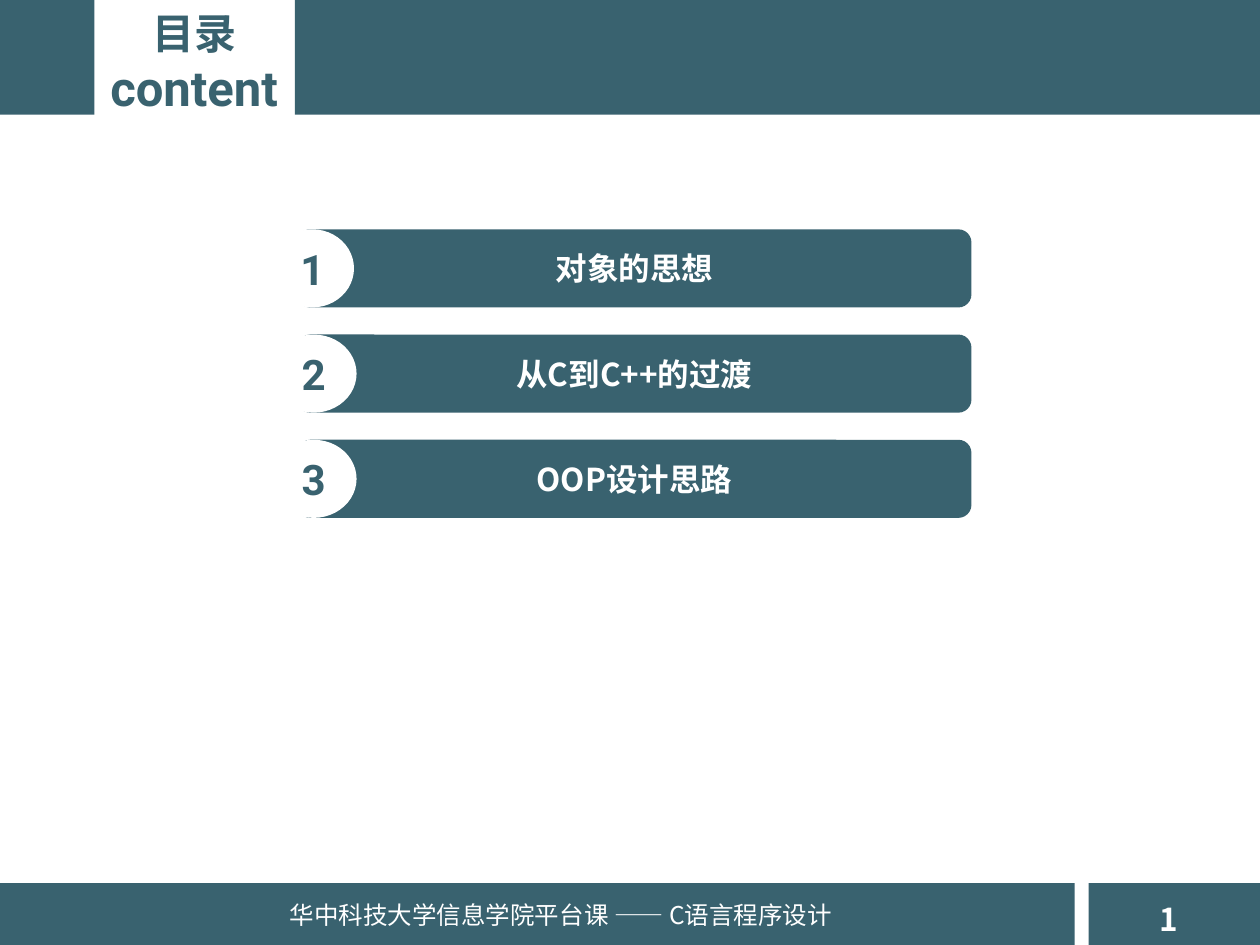
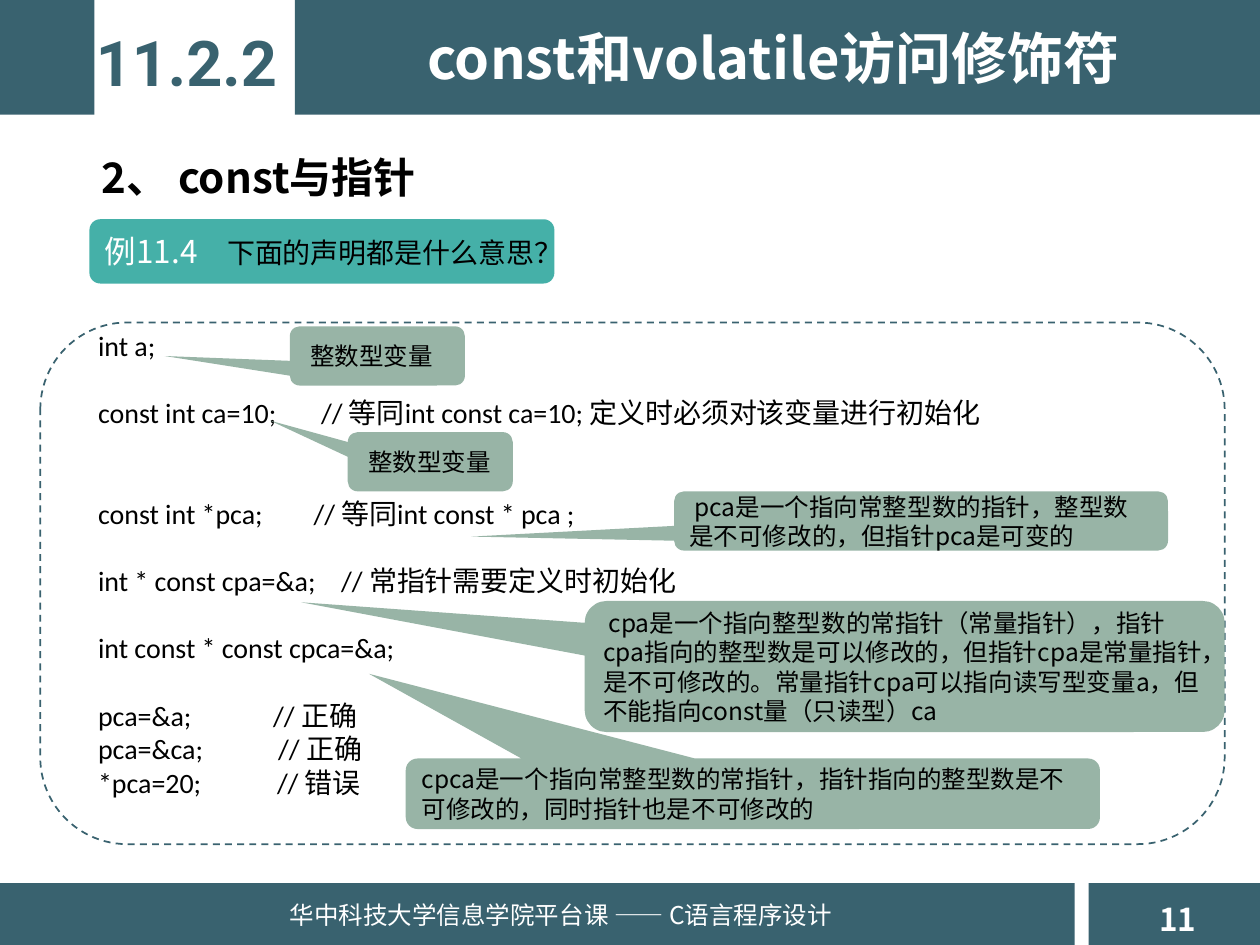
from lxml import etree
from pptx import Presentation
from pptx.dml.color import RGBColor
from pptx.enum.dml import MSO_LINE
from pptx.enum.shapes import MSO_SHAPE
from pptx.enum.text import MSO_ANCHOR, MSO_AUTO_SIZE, PP_ALIGN
from pptx.oxml.ns import qn
from pptx.util import Inches, Pt

RECT = MSO_SHAPE.RECTANGLE
ROUNDED = MSO_SHAPE.ROUNDED_RECTANGLE
OVAL = MSO_SHAPE.OVAL
CALLOUT = MSO_SHAPE.ROUNDED_RECTANGULAR_CALLOUT
DASH = MSO_LINE.DASH
MIDDLE = MSO_ANCHOR.MIDDLE
FIT_SHAPE = MSO_AUTO_SIZE.SHAPE_TO_FIT_TEXT
LEFT, CENTER, JUSTIFY = PP_ALIGN.LEFT, PP_ALIGN.CENTER, PP_ALIGN.JUSTIFY

COLORS = {
    "teal": "39626F",
    "mint": "45B0A8",
    "sage": "98B4A6",
    "white": "FFFFFF",
    "black": "000000",
}
CJK, LATIN, CODE = "Noto Sans CJK SC", "Roboto", "Calibri"
COURSE = "华中科技大学信息学院平台课 —— C语言程序设计"
BANDS = [(0, 0, 0.75, 0.91), (2.34, 0, 7.66, 0.91),
         (0, 7.01, 8.53, 0.49), (8.64, 7.01, 1.36, 0.49)]

TOPICS = [("对象的思想", 0.66), ("从C到C++的过渡", 0.68), ("OOP设计思路", 0.68)]
TOPIC_TOP, TOPIC_STEP, TOPIC_HEIGHT = 1.82, 0.835, 0.62

CODE_PITCH = 19.2
CODE_LINES = [
    (0, "int a;", None),
    (1, "const int ca=10;\t// 等同int const ca=10; 定义时必须对该变量进行初始化", 1.77),
    (2, "const int *pca;\t// 等同int const * pca ;", 1.71),
    (1, "int * const cpa=&a;\t// 常指针需要定义时初始化", 1.93),
    (1, "int const * const cpca=&a;", None),
    (1, "pca=&a;\t// 正确", 1.39),
    (0, "pca=&ca;\t// 正确", 1.43),
    (0, "*pca=20;\t// 错误", 1.42),
]

MEANINGS = [
    ((2.3, 2.59, 1.39, 0.47), (-1.214, 0.002), 0.04, "整数型变量"),
    ((2.76, 3.43, 1.31, 0.47), (-0.97, -0.694), 0.04, "整数型变量"),
    ((5.35, 3.9, 3.92, 0.47), (-0.911, 0.264), 0.04,
     "pca是一个指向常整型数的指针，整型数是不可修改的，但指针pca是可变的"),
    ((4.64, 4.77, 5.08, 1.04), (-0.943, -0.49), 0.04,
     "cpa是一个指向整型数的常指针（常量指针），指针cpa指向的整型数是可以修改的，"
     "但指针cpa是常量指针，是不可修改的。常量指针cpa可以指向读写型变量a，"
     "但不能指向const量（只读型）ca"),
    ((3.22, 6.02, 5.51, 0.56), (-0.553, -1.701), 0,
     "cpca是一个指向常整型数的常指针，指针指向的整型数是不可修改的，同时指针也是不可修改的"),
]


class Deck:
    def __init__(self):
        self.prs = Presentation()
        self.prs.slide_width, self.prs.slide_height = Inches(10), Inches(7.5)
        self.slide = None

    def new_slide(self, number):
        self.slide = self.prs.slides.add_slide(self.prs.slide_layouts[6])
        for band in BANDS:
            self.shape(RECT, band, "teal")
        page = self.text((9.1, 7.09, 0.55, 0.4), wrap=False)
        self.paragraph(page, [(str(number), 18, "white", CJK, True)])
        course = self.text((2.2, 7.09, 4.6, 0.81), wrap=False)
        self.paragraph(course, [(COURSE, 14, "white", CJK, False)])

    def shape(self, kind, box, fill=None):
        shape = self.slide.shapes.add_shape(kind, *map(Inches, box))
        shape.shadow.inherit = False
        shape.line.fill.background()
        if fill:
            shape.fill.solid()
            shape.fill.fore_color.rgb = RGBColor.from_string(COLORS[fill])
        else:
            shape.fill.background()
        shape.text_frame.vertical_anchor = MIDDLE
        return shape

    def text(self, box, wrap=True):
        frame = self.slide.shapes.add_textbox(*map(Inches, box)).text_frame
        frame.word_wrap = wrap
        frame.auto_size = FIT_SHAPE
        return frame

    def paragraph(self, frame, runs, tab=None, indent=0, **formats):
        first = frame.paragraphs[0]
        paragraph = frame.add_paragraph() if first.runs else first
        properties = paragraph._p.get_or_add_pPr()
        if indent:
            properties.set("marL", "0")
            properties.set("indent", str(Inches(indent)))
        if tab:
            stops = etree.SubElement(properties, qn("a:tabLst"))
            etree.SubElement(stops, qn("a:tab"), pos=str(Inches(tab)), algn="l")
        for name, value in {"alignment": LEFT, **formats}.items():
            setattr(paragraph, name, value)
        for text, size, color, font, bold in runs:
            run = paragraph.add_run()
            run.text = text
            for name, value in {"size": Pt(size), "name": font, "bold": bold}.items():
                setattr(run.font, name, value)
            run.font.color.rgb = RGBColor.from_string(COLORS[color])
            east_asian = etree.SubElement(run._r.get_or_add_rPr(), qn("a:ea"))
            east_asian.set("typeface", CJK)

    def callout(self, box, pointer, indent, meaning):
        callout = self.shape(CALLOUT, box, "sage")
        for index, value in enumerate((*pointer, 0.167)):
            callout.adjustments[index] = value
        self.paragraph(callout.text_frame, [(meaning, 14, "black", CJK, False)],
                       indent=indent, line_spacing=Pt(16.9))


def contents_slide(deck):
    deck.new_slide(1)
    heading = deck.text((0.73, 0.01, 1.62, 0.98), wrap=False)
    for word, size, font in [("目录", 24, CJK), ("content", 28, LATIN)]:
        deck.paragraph(heading, [(word, size, "teal", font, True)],
                       alignment=CENTER, line_spacing=Pt(size * 1.2))
    for index, (topic, badge_width) in enumerate(TOPICS):
        top = TOPIC_TOP + index * TOPIC_STEP
        bar = deck.shape(ROUNDED, (2.36, top, 5.35, TOPIC_HEIGHT), "teal")
        deck.paragraph(bar.text_frame, [(topic, 18, "white", CJK, True)],
                       alignment=CENTER)
        badge = deck.shape(OVAL, (2.15, top, badge_width, TOPIC_HEIGHT), "white")
        deck.paragraph(badge.text_frame, [(str(index + 1), 24, "teal", LATIN, True)],
                       alignment=CENTER)


def const_pointer_slide(deck):
    deck.new_slide(11)
    section = deck.text((0.66, 0.14, 1.64, 0.71), wrap=False)
    deck.paragraph(section, [("11.2.2", 36, "teal", LATIN, True)], alignment=CENTER)
    title = deck.text((2.89, 0.14, 6.5, 0.64))
    deck.paragraph(title, [("const和volatile访问修饰符", 32, "white", CJK, True)],
                   alignment=CENTER)
    heading = deck.text((0.71, 0.95, 3.86, 0.71))
    deck.paragraph(heading, [("2、 const与指针", 24, "black", CJK, True)],
                   line_spacing=1.5)
    example = deck.shape(ROUNDED, (0.71, 1.74, 3.69, 0.51), "mint")
    deck.paragraph(example.text_frame,
                   [("例11.4\t", 18, "white", CJK, False),
                    ("下面的声明都是什么意思？", 16, "black", CJK, False)], tab=0.97)
    listing = deck.text((0.68, 2.56, 7.82, 3.87))
    for gap, line, tab in CODE_LINES:
        deck.paragraph(listing, [(line, 16, "black", CODE, False)], tab=tab,
                       alignment=JUSTIFY, line_spacing=Pt(CODE_PITCH),
                       **({"space_before": Pt(gap * CODE_PITCH)} if gap else {}))
    frame = deck.shape(ROUNDED, (0.32, 2.56, 9.4, 4.14))
    frame.line.color.rgb = RGBColor.from_string(COLORS["teal"])
    frame.line.width = Pt(1)
    frame.line.dash_style = DASH
    for meaning in MEANINGS:
        deck.callout(*meaning)


def main():
    deck = Deck()
    contents_slide(deck)
    const_pointer_slide(deck)
    deck.prs.save("out.pptx")


if __name__ == "__main__":
    main()
